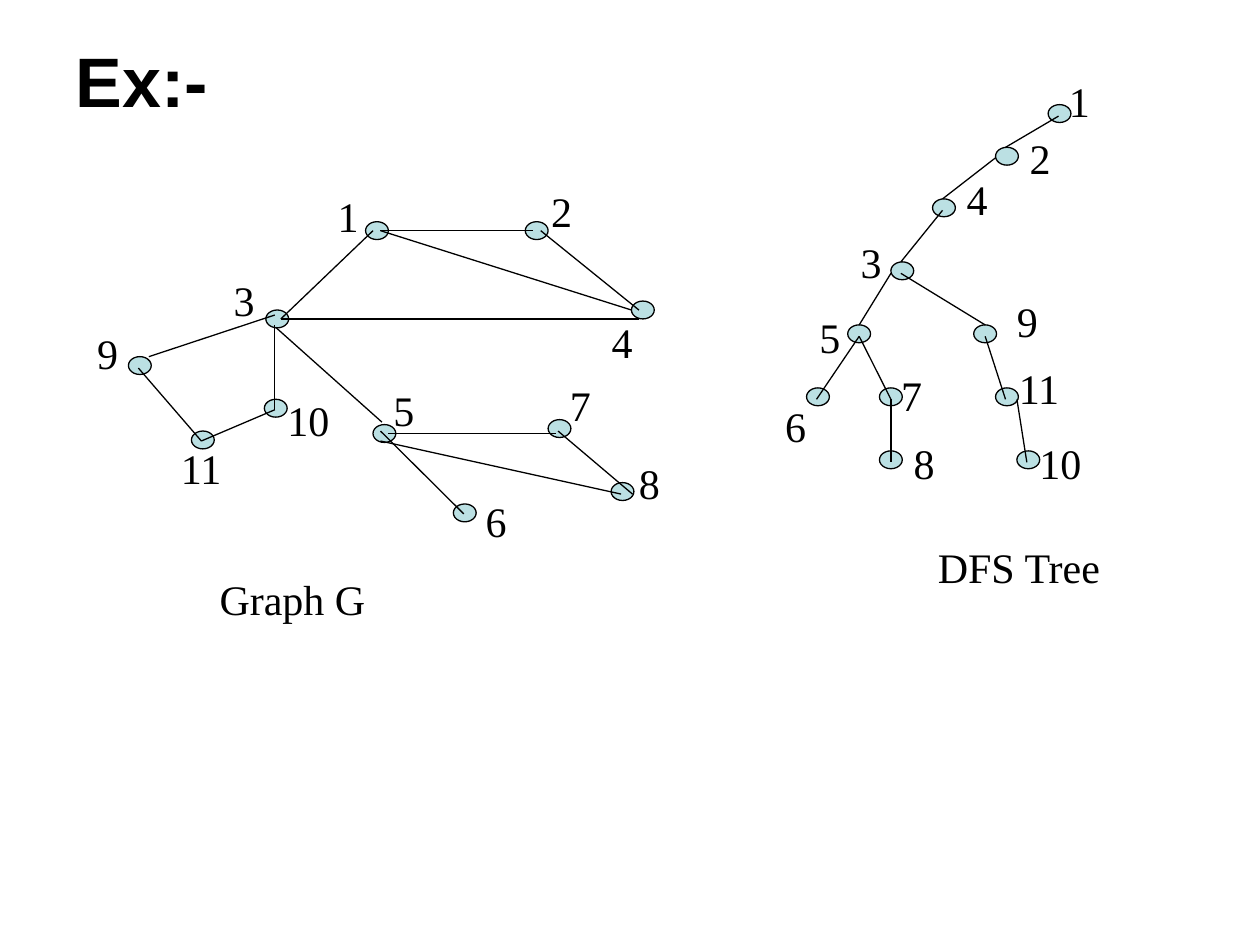
from dataclasses import dataclass

from lxml.etree import SubElement
from pptx import Presentation
from pptx.dml.color import RGBColor
from pptx.enum.shapes import MSO_CONNECTOR, MSO_SHAPE
from pptx.enum.text import MSO_ANCHOR, MSO_AUTO_SIZE, PP_ALIGN
from pptx.oxml.ns import qn
from pptx.slide import Slide
from pptx.text.text import TextFrame
from pptx.util import Cm, Pt

COLORS = {"ink": "000000", "node": "BBE0E3", "background": "FFFFFF"}
NODE_WIDTH, NODE_HEIGHT = 0.46, 0.36
LABEL_HEIGHT = 1.27
LABEL_WIDTHS = {1: 0.94, 2: 1.35}
LINE_WIDTH = 0.75


@dataclass
class Node:
    name: str
    left: float
    top: float
    label_left: float
    label_top: float


@dataclass
class Edge:
    start_x: float
    start_y: float
    end_x: float
    end_y: float


@dataclass
class Caption:
    text: str
    left: float
    top: float
    width: float


@dataclass
class Diagram:
    caption: Caption
    nodes: list[Node]
    edges: list[Edge]


DFS_TREE = Diagram(
    Caption("DFS Tree", 18.62, 10.8, 3.84),
    [
        Node("1", 21.13, 2.11, 21.29, 1.4),
        Node("2", 20.07, 2.97, 20.5, 2.54),
        Node("4", 18.8, 4.01, 19.23, 3.38),
        Node("3", 17.96, 5.28, 17.09, 4.65),
        Node("5", 17.09, 6.55, 16.26, 6.15),
        Node("6", 16.26, 7.82, 15.57, 7.95),
        Node("7", 17.73, 7.82, 17.91, 7.32),
        Node("8", 17.73, 9.09, 18.16, 8.69),
        Node("9", 19.63, 6.55, 20.24, 5.84),
        Node("11", 20.07, 7.82, 20.27, 7.19),
        Node("10", 20.5, 9.09, 20.7, 8.69),
    ],
    [
        Edge(20.27, 2.97, 21.34, 2.34),
        Edge(19, 4.01, 20.07, 3.18),
        Edge(19, 4.24, 18.16, 5.28),
        Edge(17.32, 6.55, 17.96, 5.51),
        Edge(16.46, 8.05, 17.32, 6.78),
        Edge(17.32, 6.78, 17.96, 8.05),
        Edge(17.96, 8.05, 17.96, 9.32),
        Edge(18.16, 5.51, 19.86, 6.55),
        Edge(19.86, 6.78, 20.27, 8.05),
        Edge(20.5, 8.05, 20.7, 9.32),
    ],
)

GRAPH_G = Diagram(
    Caption("Graph G", 4.17, 11.43, 3.45),
    [
        Node("1", 7.37, 4.47, 6.55, 3.71),
        Node("2", 10.59, 4.47, 10.85, 3.61),
        Node("3", 5.36, 6.25, 4.45, 5.41),
        Node("4", 12.73, 6.07, 12.07, 6.25),
        Node("5", 7.52, 8.56, 7.67, 7.62),
        Node("6", 9.14, 10.16, 9.53, 9.86),
        Node("7", 11.05, 8.46, 11.23, 7.52),
        Node("8", 12.32, 9.73, 12.62, 9.09),
        Node("9", 2.59, 7.19, 1.7, 6.48),
        Node("10", 5.33, 8.05, 5.54, 7.82),
        Node("11", 3.86, 8.69, 3.38, 8.79),
    ],
    [
        Edge(7.67, 4.65, 10.74, 4.65),
        Edge(5.66, 6.43, 12.88, 6.43),
        Edge(5.66, 6.43, 7.52, 4.65),
        Edge(10.9, 4.65, 12.88, 6.25),
        Edge(7.67, 4.65, 12.73, 6.25),
        Edge(7.7, 8.51, 5.56, 6.6),
        Edge(7.82, 8.74, 11.2, 8.74),
        Edge(11.25, 8.69, 12.75, 9.96),
        Edge(7.67, 8.69, 9.35, 10.36),
        Edge(7.67, 8.89, 12.52, 9.96),
        Edge(5.54, 6.35, 3, 7.19),
        Edge(5.54, 6.55, 5.54, 8.26),
        Edge(2.79, 7.42, 4.06, 8.89),
        Edge(5.54, 8.26, 4.06, 8.89),
    ],
)


def color(name: str) -> RGBColor:
    return RGBColor.from_string(COLORS[name])


def add_text(frame: TextFrame, text: str, font_name: str, size: int,
             bold: bool, alignment: PP_ALIGN) -> None:
    paragraph = frame.paragraphs[0]
    paragraph.alignment = alignment
    run = paragraph.add_run()
    run.text = text
    run.font.name = font_name
    run.font.size = Pt(size)
    run.font.bold = bold
    run.font.color.rgb = color("ink")


def set_title(slide: Slide, text: str) -> None:
    title = slide.shapes.title
    title.left, title.top = Cm(1.27), Cm(0.76)
    title.width, title.height = Cm(22.86), Cm(1.7)
    title.text_frame.auto_size = MSO_AUTO_SIZE.NONE
    title.text_frame.vertical_anchor = MSO_ANCHOR.MIDDLE
    add_text(title.text_frame, text, "Arial", 40, True, PP_ALIGN.LEFT)


def draw_node(slide: Slide, node: Node) -> None:
    shape = slide.shapes.add_shape(
        MSO_SHAPE.OVAL, Cm(node.left), Cm(node.top), Cm(NODE_WIDTH), Cm(NODE_HEIGHT))
    shape.shadow.inherit = False
    shape.fill.solid()
    shape.fill.fore_color.rgb = color("node")
    shape.line.color.rgb = color("ink")
    shape.line.width = Pt(LINE_WIDTH)


def draw_edge(slide: Slide, edge: Edge) -> None:
    connector = slide.shapes.add_connector(
        MSO_CONNECTOR.STRAIGHT, Cm(edge.start_x), Cm(edge.start_y),
        Cm(edge.end_x), Cm(edge.end_y))
    connector.line.color.rgb = color("ink")
    connector.line.width = Pt(LINE_WIDTH)
    SubElement(connector.element.spPr, qn("a:effectLst"))


def draw_caption(slide: Slide, caption: Caption) -> None:
    box = slide.shapes.add_textbox(
        Cm(caption.left), Cm(caption.top), Cm(caption.width), Cm(LABEL_HEIGHT))
    box.text_frame.word_wrap = False
    box.text_frame.auto_size = MSO_AUTO_SIZE.SHAPE_TO_FIT_TEXT
    add_text(box.text_frame, caption.text, "Times New Roman", 24, False, PP_ALIGN.CENTER)


def draw_diagram(slide: Slide, diagram: Diagram) -> None:
    for node in diagram.nodes:
        draw_node(slide, node)
    for edge in diagram.edges:
        draw_edge(slide, edge)
    for node in diagram.nodes:
        width = LABEL_WIDTHS[len(node.name)]
        draw_caption(slide, Caption(node.name, node.label_left, node.label_top, width))
    draw_caption(slide, diagram.caption)


def main() -> None:
    presentation = Presentation()
    presentation.slide_width, presentation.slide_height = Cm(25.4), Cm(19.05)
    slide = presentation.slides.add_slide(presentation.slide_layouts[5])
    slide.background.fill.solid()
    slide.background.fill.fore_color.rgb = color("background")
    set_title(slide, "Ex:-")
    for diagram in (DFS_TREE, GRAPH_G):
        draw_diagram(slide, diagram)
    presentation.save("out.pptx")


if __name__ == "__main__":
    main()
